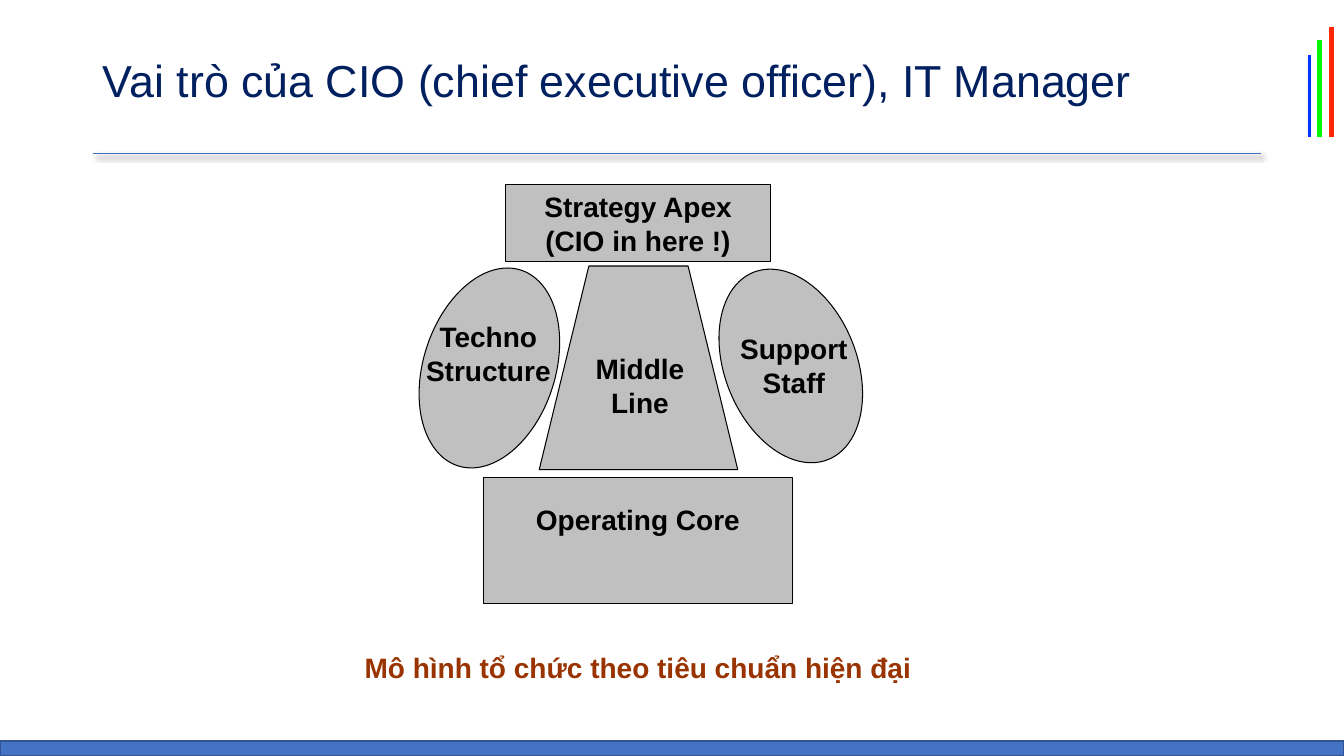
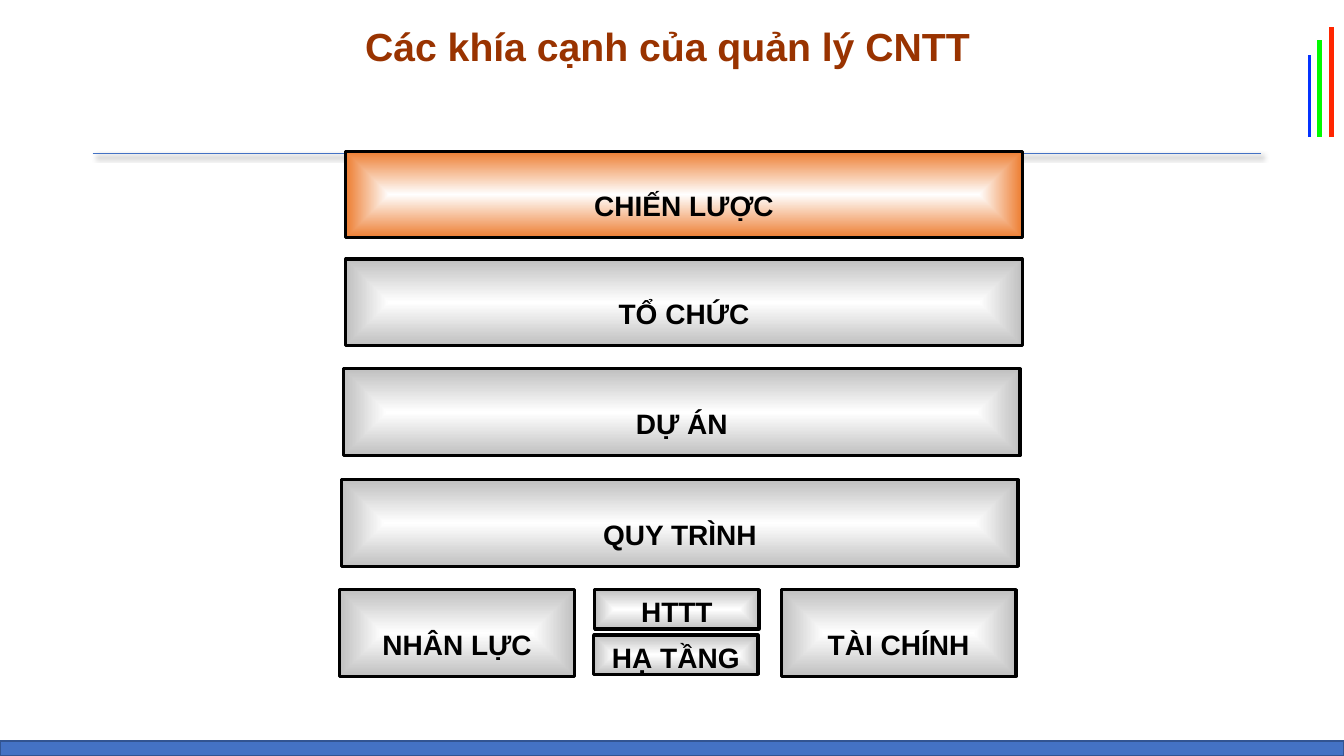
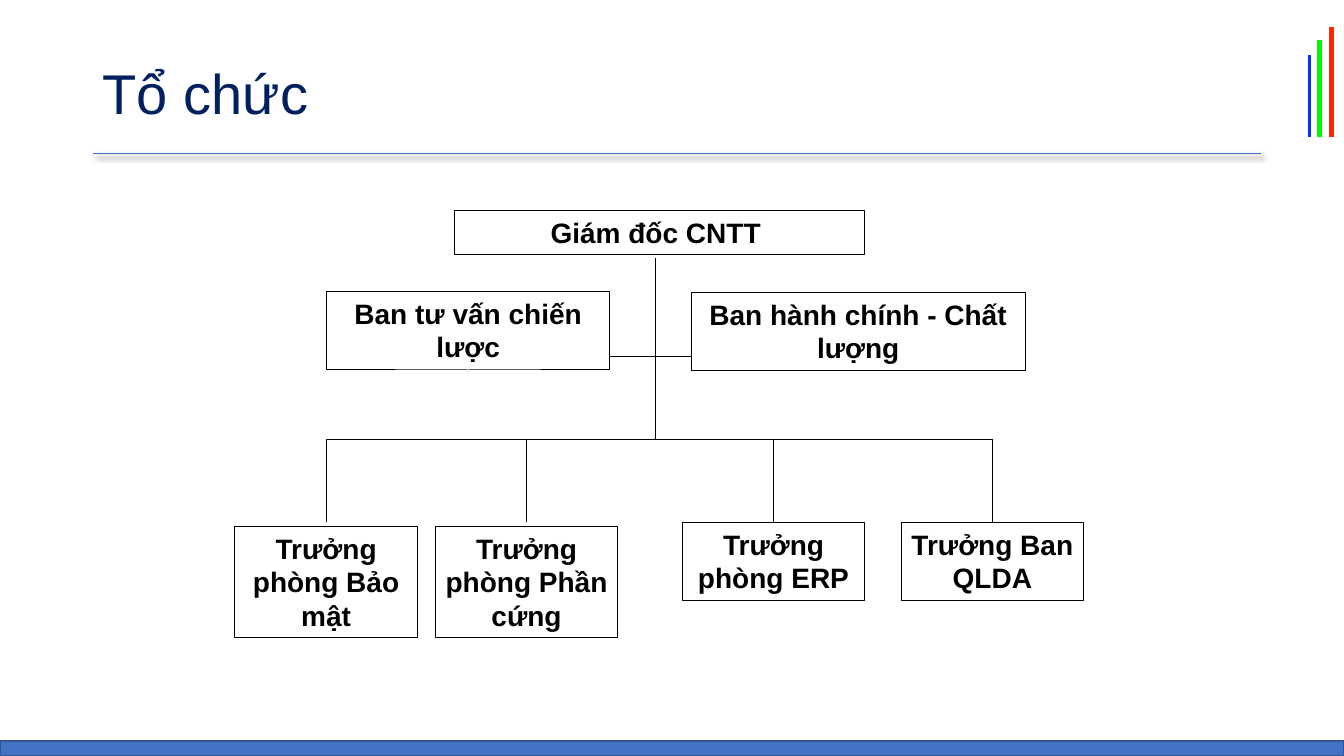
"""Build three slides on the organisation of IT management."""

from dataclasses import dataclass
from typing import Optional

from pptx import Presentation
from pptx.dml.color import RGBColor
from pptx.enum.shapes import MSO_CONNECTOR, MSO_SHAPE
from pptx.enum.text import MSO_ANCHOR, MSO_AUTO_SIZE, PP_ALIGN
from pptx.oxml import parse_xml
from pptx.oxml.ns import nsdecls, qn
from pptx.util import Pt

FONT = "Arial"
BLACK = RGBColor(0x00, 0x00, 0x00)
WHITE = RGBColor(0xFF, 0xFF, 0xFF)
SILVER = RGBColor(0xC0, 0xC0, 0xC0)
ORANGE = RGBColor(0xED, 0x7D, 0x31)
RUST = RGBColor(0x99, 0x33, 0x00)
NAVY = RGBColor(0x00, 0x20, 0x60)
BLUE = RGBColor(0x44, 0x72, 0xC4)
DARK_BLUE = RGBColor(0x32, 0x54, 0x91)
BAR_RED = RGBColor(0xFF, 0x26, 0x00)
BAR_GREEN = RGBColor(0x00, 0xFA, 0x00)
BAR_BLUE = RGBColor(0x04, 0x32, 0xFF)

SLIDE_WIDTH, SLIDE_HEIGHT = 960, 540
TITLE_ONLY = 5
BRANCH_TOP, BRANCH_BOTTOM = 313.9, 373
TRUNK_X = 468
ADVISORY_Y = 254.9


@dataclass
class Box:
    """A preset shape with centred text; lengths are in points."""

    text: str
    left: float
    top: float
    width: float
    height: float
    fill: Optional[RGBColor] = None
    gradient: bool = False
    outline: float = 0.75
    outline_color: RGBColor = BLACK
    preset: MSO_SHAPE = MSO_SHAPE.RECTANGLE
    rotation: float = 0
    inset_top: float = 3.6


@dataclass
class Label:
    """A plain text box; lengths are in points."""

    text: str
    left: float
    top: float
    width: float
    height: float
    color: RGBColor = BLACK


@dataclass
class Line:
    """A straight line; lengths are in points."""

    start: tuple[float, float]
    end: tuple[float, float]
    color: RGBColor = BLACK
    width: float = 0.75
    shadow: bool = False


BAND = Box("", 0, 529.2, SLIDE_WIDTH, 10.8, BLUE, outline=1, outline_color=DARK_BLUE)
MASTER_LINES = [
    Line((66.24, 109.6), (900.7, 109.6), BLUE, 0.5, True),
    Line((951.1, 19.4), (951.1, 98), BAR_RED, 4),
    Line((942.5, 28.8), (942.5, 98), BAR_GREEN, 3),
    Line((935.3, 98), (935.3, 39.6), BAR_BLUE, 2),
]

MODEL_BOXES = [
    Box("Operating Core", 345.6, 341.3, 220.3, 90, SILVER, inset_top=17.4),
    Box("", 385.2, 190, 141.8, 145.4, SILVER, preset=MSO_SHAPE.TRAPEZOID),
    Box("", 302.4, 189.4, 94.3, 146.9, SILVER, preset=MSO_SHAPE.OVAL, rotation=17.8),
    Box("", 517.7, 189.4, 94.3, 144, SILVER, preset=MSO_SHAPE.OVAL, rotation=338.3),
    Box("Strategy Apex (CIO in here !)", 361.1, 131.8, 189.4, 54.7, SILVER),
]
MODEL_LABELS = [
    Label("Middle Line", 411.8, 247.7, 90.7, 72.7),
    Label("Techno\nStructure", 295.2, 224.6, 107.3, 72.7),
    Label("Support Staff", 513.4, 233.3, 107.3, 72.7),
    Label("Mô hình tổ chức theo tiêu chuẩn hiện đại", 203.8, 460.8, 504, 36, RUST),
]


def aspect(text: str, left: float, top: float, width: float = 483.1,
           height: float = 61.9, fill: RGBColor = SILVER, inset_top: float = 27) -> Box:
    """Return a gradient block for one aspect of IT management."""
    return Box(text, left, top, width, height, fill, True, 2.25, inset_top=inset_top)


ASPECTS = [
    aspect("CHIẾN LƯỢC", 247, 108, fill=ORANGE),
    aspect("TỔ CHỨC", 247, 185),
    aspect("DỰ ÁN", 245.5, 263.5),
    aspect("QUY TRÌNH", 244.1, 342.7),
    aspect("NHÂN LỰC", 242.6, 421.2, 167.8),
    aspect("TÀI CHÍNH", 558, 421.2, 167.8),
    aspect("HTTT", 424.8, 421.2, 117.4, 28.1, inset_top=3.6),
    aspect("HẠ TẦNG", 424.1, 453.6, 117.4, 28.1, inset_top=3.6),
]

LEADERSHIP = [
    Box("Giám đốc CNTT ", 324.7, 150.5, 293, 31.7),
    Box("Ban tư vấn chiến lược", 233.3, 208.1, 202.3, 56.2),
    Box("Ban hành chính - Chất lượng", 493.9, 208.8, 238.3, 56.2),
]
DEPARTMENTS = [
    Box("Trưởng phòng Bảo mật", 167.8, 375.8, 130.3, 79.9),
    Box("Trưởng phòng Phần cứng", 311, 375.8, 130.3, 79.9),
    Box("Trưởng phòng ERP", 487.4, BRANCH_BOTTOM, 130.3, 56.2),
    Box("Trưởng Ban QLDA", 643.7, BRANCH_BOTTOM, 130.3, 56.2),
]


def write_text(shape, text: str, size: float, color: RGBColor, bold: bool = True,
               alignment: PP_ALIGN = PP_ALIGN.CENTER,
               anchor: MSO_ANCHOR = MSO_ANCHOR.TOP) -> None:
    """Fill a shape with uniformly formatted text."""
    frame = shape.text_frame
    frame.text = text
    frame.word_wrap = True
    frame.auto_size = MSO_AUTO_SIZE.NONE
    frame.vertical_anchor = anchor
    for paragraph in frame.paragraphs:
        paragraph.alignment = alignment
        paragraph.font.name = FONT
        paragraph.font.size = Pt(size)
        paragraph.font.bold = bold
        paragraph.font.color.rgb = color


def fill_gradient(shape, color: RGBColor) -> None:
    """Fill a shape from a white centre to the colour at its edges."""
    shape.fill.background()
    properties = shape.element.spPr
    gradient = parse_xml(
        f'<a:gradFill {nsdecls("a")} rotWithShape="1"><a:gsLst>'
        f'<a:gs pos="0"><a:srgbClr val="{WHITE}"/></a:gs>'
        f'<a:gs pos="100000"><a:srgbClr val="{color}"/></a:gs></a:gsLst>'
        '<a:path path="shape"><a:fillToRect l="50000" t="50000" r="50000" b="50000"/>'
        "</a:path></a:gradFill>"
    )
    properties.replace(properties.find(qn("a:noFill")), gradient)


def draw_box(slide, box: Box):
    """Draw a box and return its shape."""
    shape = slide.shapes.add_shape(
        box.preset, Pt(box.left), Pt(box.top), Pt(box.width), Pt(box.height))
    shape.shadow.inherit = False
    shape.rotation = box.rotation
    shape.line.color.rgb = box.outline_color
    shape.line.width = Pt(box.outline)
    if box.fill is None:
        shape.fill.background()
    elif box.gradient:
        fill_gradient(shape, box.fill)
    else:
        shape.fill.solid()
        shape.fill.fore_color.rgb = box.fill
    if box.text:
        shape.text_frame.margin_top = Pt(box.inset_top)
        write_text(shape, box.text, 20, BLACK)
    return shape


def draw_label(slide, label: Label) -> None:
    """Draw a bold centred text box."""
    shape = slide.shapes.add_textbox(
        Pt(label.left), Pt(label.top), Pt(label.width), Pt(label.height))
    write_text(shape, label.text, 20, label.color)


def draw_line(slide, line: Line):
    """Draw a line and return its connector."""
    connector = slide.shapes.add_connector(
        MSO_CONNECTOR.STRAIGHT, *(Pt(value) for value in line.start + line.end))
    connector.line.color.rgb = line.color
    connector.line.width = Pt(line.width)
    shadow = (
        '<a:outerShdw blurRad="50800" dist="38100" dir="2700000" algn="tl" rotWithShape="0">'
        '<a:srgbClr val="000000"><a:alpha val="40000"/></a:srgbClr></a:outerShdw>'
    ) if line.shadow else ""
    connector.element.spPr.append(
        parse_xml(f'<a:effectLst {nsdecls("a")}>{shadow}</a:effectLst>'))
    return connector


def add_slide(presentation, title: str, left: float, top: float, width: float,
              height: float, size: float, color: RGBColor = NAVY, bold: bool = False,
              alignment: PP_ALIGN = PP_ALIGN.LEFT,
              anchor: MSO_ANCHOR = MSO_ANCHOR.MIDDLE):
    """Add a slide with its title placed and formatted."""
    slide = presentation.slides.add_slide(presentation.slide_layouts[TITLE_ONLY])
    shape = slide.shapes.title
    shape.left, shape.top = Pt(left), Pt(top)
    shape.width, shape.height = Pt(width), Pt(height)
    write_text(shape, title, size, color, bold, alignment, anchor)
    shape.text_frame.paragraphs[0].line_spacing = 1.0 if bold else 0.9
    return slide


def furnish_master(presentation, slide) -> None:
    """Draw the shared band and lines and move them to the slide master."""
    parts = [draw_box(slide, BAND)] + [draw_line(slide, line) for line in MASTER_LINES]
    tree = presentation.slide_master.shapes.element
    for number, part in enumerate(parts, start=20):
        part.element.xpath(".//p:cNvPr")[0].set("id", str(number))
        tree.append(part.element)


def draw_model(slide) -> None:
    """Draw the modern organisation model."""
    for box in MODEL_BOXES:
        draw_box(slide, box)
    for label in MODEL_LABELS:
        draw_label(slide, label)


def draw_organisation(slide) -> None:
    """Draw the organisation chart."""
    for box in LEADERSHIP:
        draw_box(slide, box)
    centers = [box.left + box.width / 2 for box in DEPARTMENTS]
    for line in (
        Line((TRUNK_X, 184.3), (TRUNK_X, BRANCH_TOP)),
        Line((centers[0], BRANCH_TOP), (centers[-1], BRANCH_TOP)),
        Line((434.9, ADVISORY_Y), (474.5, ADVISORY_Y)),
        Line((TRUNK_X, ADVISORY_Y), (493.9, ADVISORY_Y)),
    ):
        draw_line(slide, line)
    for box, center in zip(DEPARTMENTS, centers):
        shape = draw_box(slide, box)
        branch = draw_line(slide, Line((center, BRANCH_TOP), (center, BRANCH_BOTTOM)))
        if box.top == BRANCH_BOTTOM:
            branch.end_connect(shape, 0)


def main() -> None:
    """Build and save the presentation."""
    presentation = Presentation()
    presentation.slide_width = Pt(SLIDE_WIDTH)
    presentation.slide_height = Pt(SLIDE_HEIGHT)

    model = add_slide(presentation, "Vai trò của CIO (chief executive officer), IT Manager",
                      66.24, 18, 835.2, 82.8, 32)
    furnish_master(presentation, model)
    draw_model(model)

    aspects = add_slide(presentation, "Các khía cạnh của quản lý CNTT",
                        185.8, 12.2, 581.8, 36, 28, RUST, True,
                        PP_ALIGN.CENTER, MSO_ANCHOR.TOP)
    for box in ASPECTS:
        draw_box(aspects, box)

    organisation = add_slide(presentation, "Tổ chức", 66.24, 43.9, 720, 50.4, 40)
    draw_organisation(organisation)

    presentation.save("out.pptx")


if __name__ == "__main__":
    main()
